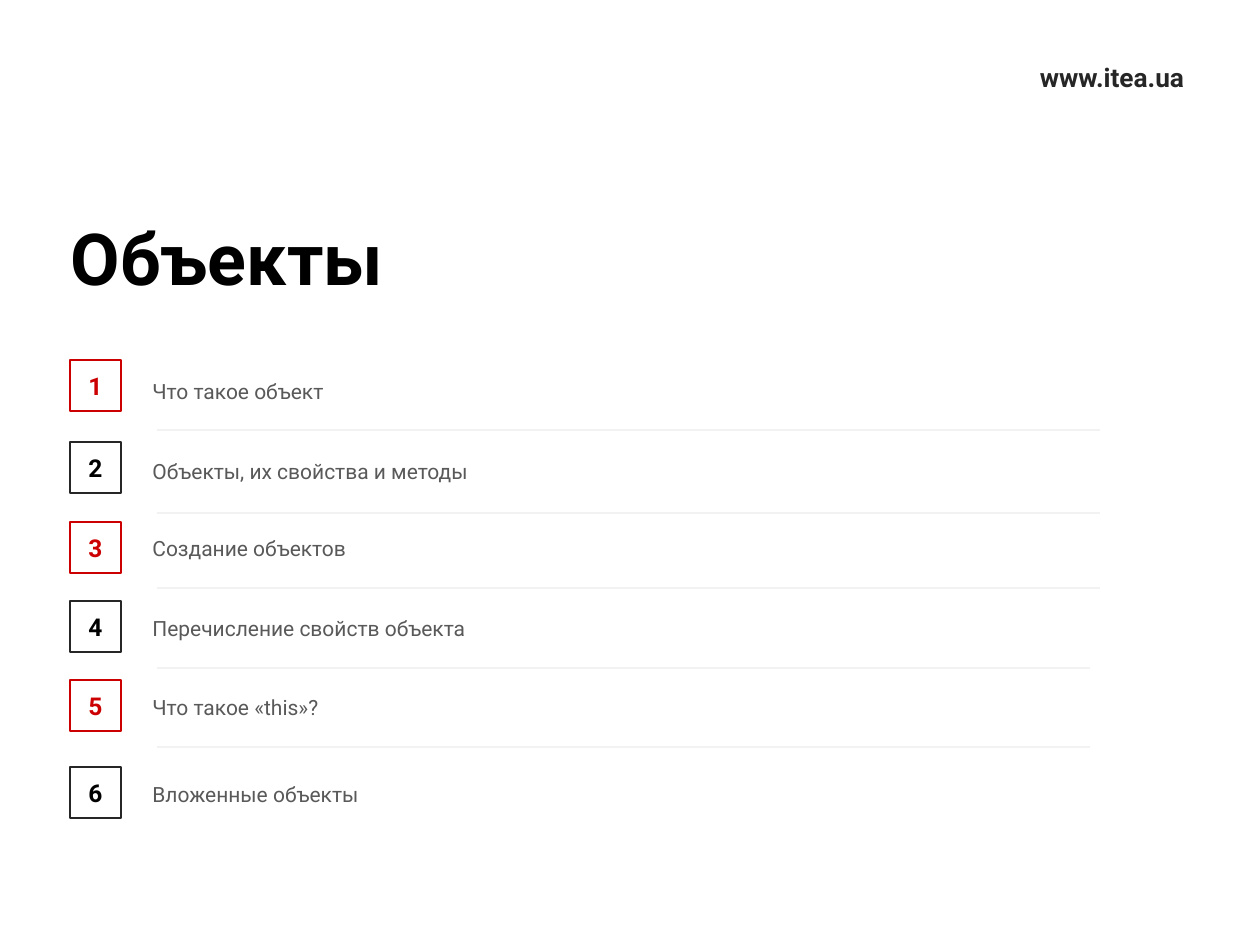
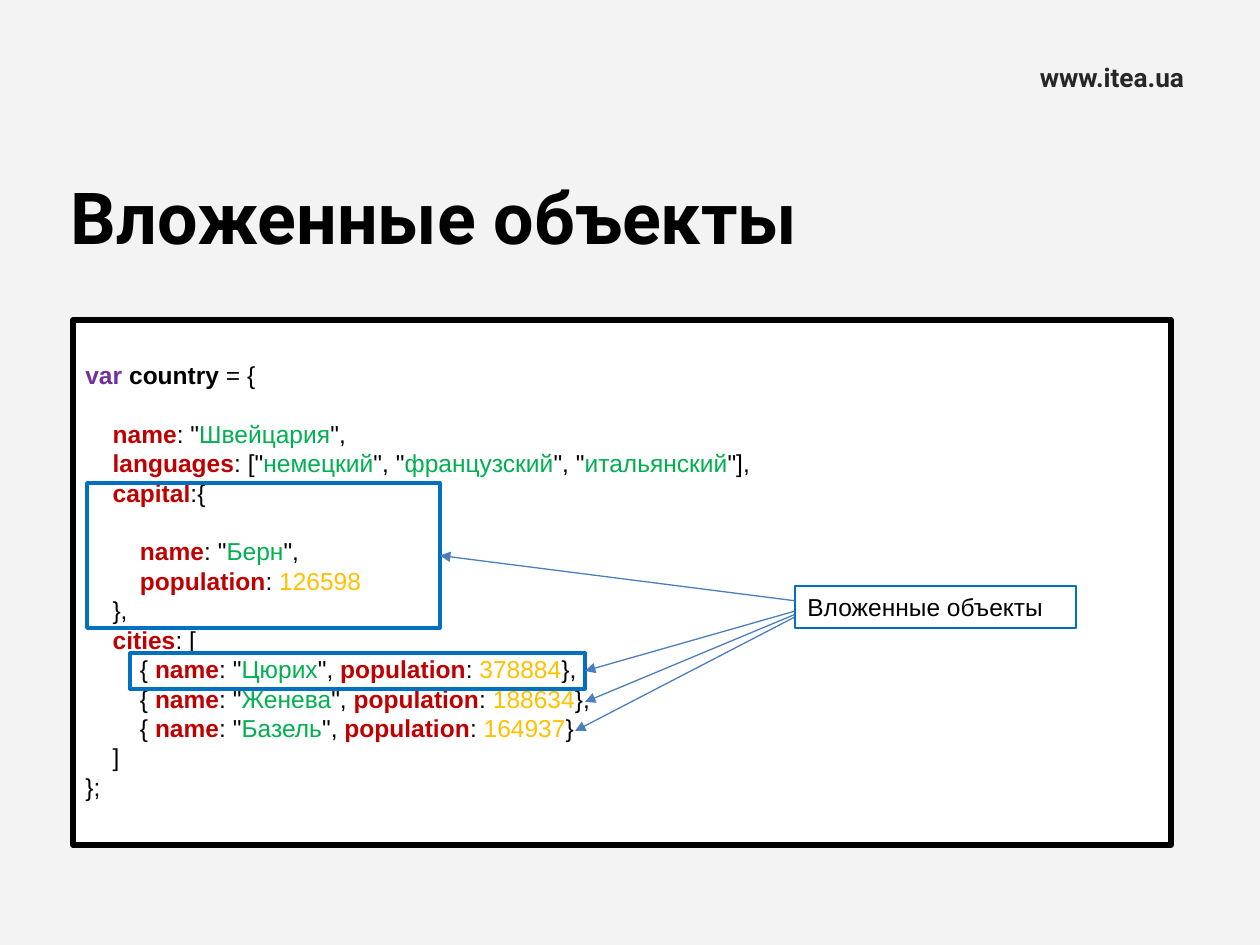
from itertools import groupby

from lxml.etree import SubElement
from pptx import Presentation
from pptx.dml.color import RGBColor as RGB
from pptx.enum.shapes import MSO_CONNECTOR as Conn, MSO_SHAPE as Shape
from pptx.enum.text import MSO_ANCHOR as Anchor, MSO_AUTO_SIZE as Fit, PP_ALIGN as Align
from pptx.oxml.ns import qn
from pptx.util import Pt

# Colours and fonts
BLACK, WHITE = RGB(0, 0, 0), RGB(255, 255, 255)
DARK, GREY = RGB(0x26, 0x26, 0x26), RGB(0x59, 0x59, 0x59)
PALE, RULE = RGB(0xF3, 0xF3, 0xF3), RGB(0xF2, 0xF2, 0xF2)
RED, BLUE, ARROW = RGB(0xCC, 0, 0), RGB(0, 0x70, 0xC0), RGB(0x4B, 0x7E, 0xBC)
PURPLE, KEY = RGB(0x70, 0x30, 0xA0), RGB(0xC0, 0, 0)
GREEN, GOLD = RGB(0, 0xB0, 0x50), RGB(0xFF, 0xC0, 0)
SANS, MONO = "Roboto", "Arial"

# Agenda: text, top of text, top of number box
SITE = "www.itea.ua"
TOPICS = [
    ("Что такое объект", 372, 360),
    ("Объекты, их свойства и методы", 452, 442),
    ("Создание объектов", 529, 522),
    ("Перечисление свойств объекта", 609, 601),
    ("Что такое «this»?", 688, 680),
    ("Вложенные объекты", 775, 767),
]
RULES = [(430, 1100), (513, 1100), (588, 1100), (668, 1090), (747, 1090)]  # y, right end

# Code listing
CODE = """var country = {

    name: "Швейцария",
    languages: ["немецкий", "французский", "итальянский"],
    capital:{

        name: "Берн",
        population: 126598
    },
    cities: [
        { name: "Цюрих", population: 378884},
        { name: "Женева", population: 188634},
        { name: "Базель", population: 164937}
    ]
};"""
PITCH = Pt(16.8)
NESTED = "Вложенные объекты"
FRAME = (73, 320, 1098, 525)
CAPITAL, CITY = (87, 483, 353, 145), (130, 653, 455, 36)
LABEL = (795, 586, 281, 42)
HUB = (820, 604)
LOOSE = [(585, 702), (575, 731)]  # arrow tips beside the last two cities


def px(n):
    return round(n * 914400 / 126)


def write(shape, text, size, color, bold=False, font=SANS, align=Align.LEFT, anchor=Anchor.TOP):
    frame = shape.text_frame
    frame.word_wrap, frame.auto_size = True, Fit.NONE
    frame.vertical_anchor = anchor
    frame.text = text
    par = frame.paragraphs[0]
    par.alignment = align
    par.font.name, par.font.size, par.font.bold = font, Pt(size), bold
    par.font.color.rgb = color


def label(slide, spot, *args, **opts):
    write(slide.shapes.add_textbox(*map(px, spot)), *args, **opts)


def box(slide, spot, line, width, fill=None):
    rect = slide.shapes.add_shape(Shape.RECTANGLE, *map(px, spot))
    rect.shadow.inherit = False
    rect.line.color.rgb, rect.line.width = line, Pt(width)
    if fill is None:
        rect.fill.background()
    else:
        rect.fill.solid()
        rect.fill.fore_color.rgb = fill
    return rect


def link(slide, start, end, color, arrow=False):
    line = slide.shapes.add_connector(Conn.STRAIGHT, *map(px, start + end))
    line.line.color.rgb, line.line.width = color, Pt(0.75)
    if arrow:
        SubElement(line.line._get_or_add_ln(), qn("a:tailEnd"), type="triangle")
    SubElement(line._element.spPr, qn("a:effectLst"))
    return line


def page(deck, title, top, back):
    slide = deck.slides.add_slide(deck.slide_layouts[5])
    slide.background.fill.solid()
    slide.background.fill.fore_color.rgb = back
    head = slide.shapes.title
    head.left, head.top, head.width, head.height = map(px, (58, top, 1129, 158))
    write(head, title, 41, BLACK, True, anchor=Anchor.MIDDLE)
    label(slide, (984, 57, 256, 40), SITE, 15, DARK, True,
          align=Align.CENTER, anchor=Anchor.MIDDLE)
    return slide


def style(word):
    """Colour and weight of one code token."""
    if word.isdigit():
        return GOLD, False
    if not word.isalpha():
        return BLACK, False
    if not word.isascii():
        return GREEN, False
    return {"var": PURPLE, "country": BLACK}.get(word, KEY), True


def fill_code(frame):
    frame.word_wrap, frame.vertical_anchor = True, Anchor.TOP
    frame.margin_top = px(40)
    par, gap = frame.paragraphs[0], False
    for row, text in enumerate(CODE.split("\n")):
        if not text:
            gap = True
            continue
        if row:
            par = frame.add_paragraph()
        par.alignment, par.line_spacing = Align.LEFT, PITCH
        par.font.name, par.font.size = MONO, Pt(14)
        if gap:
            par.space_before = PITCH
        gap = False
        for _, chars in groupby(text, str.isalnum):
            run = par.add_run()
            run.text = "".join(chars)
            run.font.color.rgb, run.font.bold = style(run.text)


def agenda(deck):
    slide = page(deck, "Объекты", 178, WHITE)
    for y, right in RULES:
        link(slide, (157, y), (right, y), RULE)
    for num, (topic, top, mark) in enumerate(TOPICS, 1):
        label(slide, (140, top, 1012, 43), topic, 12, GREY)
        line, ink = (RED, RED) if num % 2 else (DARK, BLACK)
        tile = box(slide, (70, mark, 51, 51), line, 1.5)
        write(tile, str(num), 14, ink, True, align=Align.CENTER, anchor=Anchor.MIDDLE)


def nested(deck):
    slide = page(deck, NESTED, 137, PALE)
    fill_code(box(slide, FRAME, BLACK, 3, WHITE).text_frame)

    # Outlined objects and arrows to them
    for spot in (CAPITAL, CITY):
        rect = box(slide, spot, BLUE, 2)
        x, y, w, h = spot
        link(slide, HUB, (x + w, y + h // 2), ARROW, True).end_connect(rect, 3)
    for tip in LOOSE:
        link(slide, HUB, tip, ARROW, True)
    write(box(slide, LABEL, BLUE, 0.75, WHITE), NESTED, 14, BLACK, font=MONO)


def main():
    deck = Presentation()
    deck.slide_width, deck.slide_height = px(1260), px(945)
    agenda(deck)
    nested(deck)
    deck.save("out.pptx")


if __name__ == "__main__":
    main()
